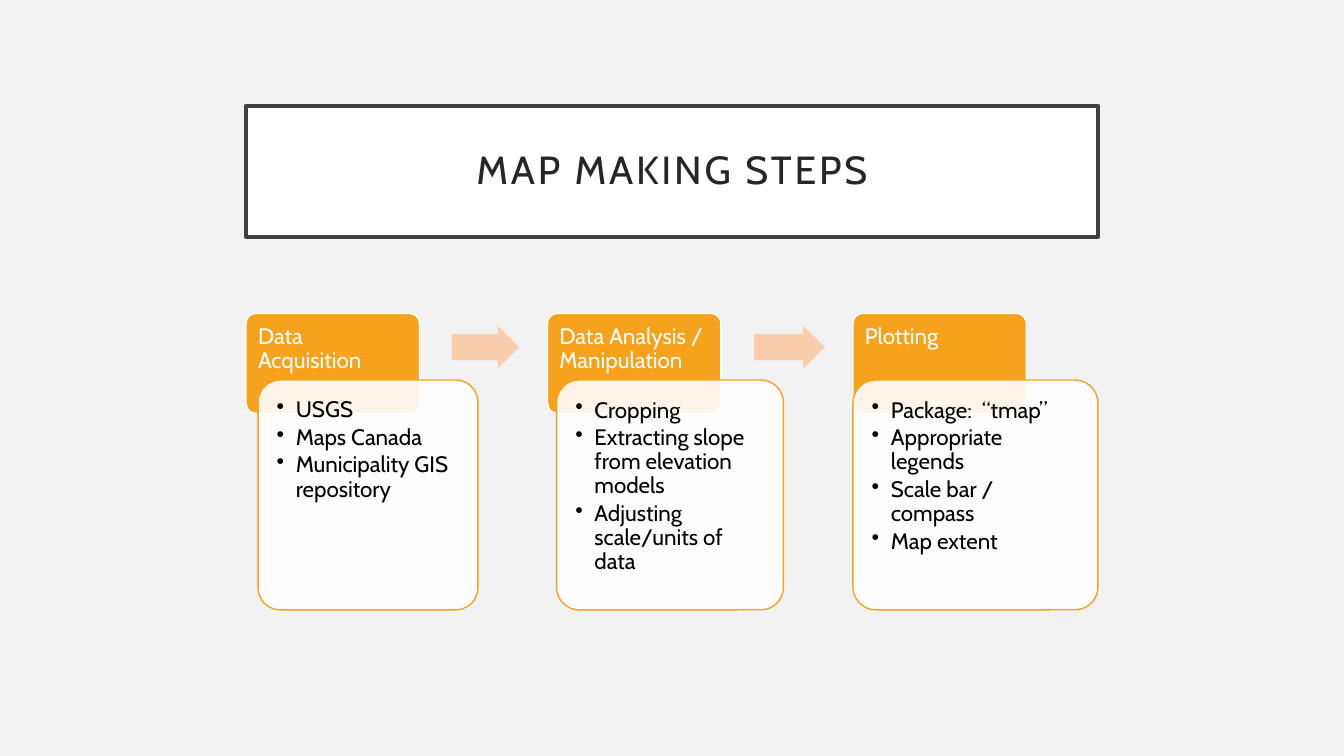
from lxml import etree
from pptx import Presentation
from pptx.dml.color import RGBColor
from pptx.enum.shapes import MSO_SHAPE
from pptx.enum.text import MSO_ANCHOR, MSO_AUTO_SIZE, PP_ALIGN
from pptx.oxml.ns import qn
from pptx.util import Inches, Pt

ROUNDED, ARROW = MSO_SHAPE.ROUNDED_RECTANGLE, MSO_SHAPE.RIGHT_ARROW
TOP, MIDDLE = MSO_ANCHOR.TOP, MSO_ANCHOR.MIDDLE
LEFT, CENTER = PP_ALIGN.LEFT, PP_ALIGN.CENTER
NO_FIT = MSO_AUTO_SIZE.NONE

COLORS = {
    "page": "F2F2F2", "white": "FFFFFF", "frame": "404040", "title": "262626",
    "step": "F6A21D", "arrow": "FACEAC", "text": "000000",
}
HEAD_TOP, HEAD_WIDTH, HEAD_HEIGHT = 3.11, 1.72, 0.99
CARD_TOP, CARD_HEIGHT = 3.77, 2.28
ARROW_TOP, ARROW_HEIGHT = 3.23, 0.43
BULLET_INDENT = Inches(0.19)

STEPS = [
    {"head": "Data Acquisition", "left": 2.44, "card": (2.56, 2.18), "arrow": (4.48, 0.67),
     "items": ["USGS", "Maps Canada", "Municipality GIS repository"]},
    {"head": "Data Analysis / Manipulation", "left": 5.43, "card": (5.52, 2.25), "arrow": (7.48, 0.7),
     "items": ["Cropping", "Extracting slope from elevation models", "Adjusting scale/units of data"]},
    {"head": "Plotting", "left": 8.46, "card": (8.46, 2.43), "arrow": None,
     "items": ["Package:  “tmap”", "Appropriate legends", "Scale bar / compass", "Map extent"]},
]


def paint(shape, fill, line=None, width=1):
    shape.fill.solid()
    shape.fill.fore_color.rgb = RGBColor.from_string(COLORS[fill])
    if line:
        shape.line.color.rgb = RGBColor.from_string(COLORS[line])
        shape.line.width = Pt(width)
    else:
        shape.line.fill.background()


def write(shape, texts, color, size=16, inset=0.12, anchor=TOP, align=LEFT, after=0, bullets=False):
    frame = shape.text_frame
    frame_format = {"word_wrap": True, "auto_size": NO_FIT, "vertical_anchor": anchor}
    for side in ("left", "top", "right", "bottom"):
        frame_format[f"margin_{side}"] = Inches(inset)
    for name, value in frame_format.items():
        setattr(frame, name, value)
    for index, text in enumerate(texts):
        para = frame.paragraphs[0] if index == 0 else frame.add_paragraph()
        if bullets:
            properties = para._p.get_or_add_pPr()
            properties.set("marL", str(BULLET_INDENT))
            properties.set("indent", str(-BULLET_INDENT))
            etree.SubElement(properties, qn("a:buChar"), char="•")
        para_format = {"alignment": align, "line_spacing": 0.9, "space_before": Pt(0), "space_after": Pt(after)}
        for name, value in para_format.items():
            setattr(para, name, value)
        span = para.add_run()
        span.text = text
        span.font.name = "Cabin"
        span.font.size = Pt(size)
        span.font.color.rgb = RGBColor.from_string(COLORS[color])


deck = Presentation()
deck.slide_width, deck.slide_height = Inches(13.33), Inches(7.5)
page = deck.slides.add_slide(deck.slide_layouts[5])
page.background.fill.solid()
page.background.fill.fore_color.rgb = RGBColor.from_string(COLORS["page"])

title = page.shapes.title
title.left, title.top, title.width, title.height = (Inches(n) for n in (2.44, 1.05, 8.45, 1.3))
paint(title, "white", "frame", 2.5)
write(title, ["MAP MAKING STEPS"], "title", size=28, inset=0.2, anchor=MIDDLE, align=CENTER)
title.text_frame.paragraphs[0].runs[0].font._element.set("spc", "200")

for step in STEPS:
    box = (step["left"], HEAD_TOP, HEAD_WIDTH, HEAD_HEIGHT)
    head = page.shapes.add_shape(ROUNDED, *(Inches(n) for n in box))
    head.shadow.inherit = False
    head.adjustments[0] = 0.1
    paint(head, "step", "white")
    write(head, [step["head"]], "white", inset=0.09)

    card_left, card_width = step["card"]
    box = (card_left, CARD_TOP, card_width, CARD_HEIGHT)
    card = page.shapes.add_shape(ROUNDED, *(Inches(n) for n in box))
    card.shadow.inherit = False
    card.adjustments[0] = 0.1
    paint(card, "white", "step")
    color_node = card._element.spPr.find(qn("a:solidFill"))[0]
    etree.SubElement(color_node, qn("a:alpha"), val="90000")
    write(card, step["items"], "text", after=2.4, bullets=True)

    if step["arrow"]:
        arrow_left, arrow_width = step["arrow"]
        box = (arrow_left, ARROW_TOP, arrow_width, ARROW_HEIGHT)
        arrow = page.shapes.add_shape(ARROW, *(Inches(n) for n in box))
        arrow.shadow.inherit = False
        arrow.adjustments[0] = 0.6
        arrow.adjustments[1] = 0.5
        paint(arrow, "arrow")

deck.save("out.pptx")
